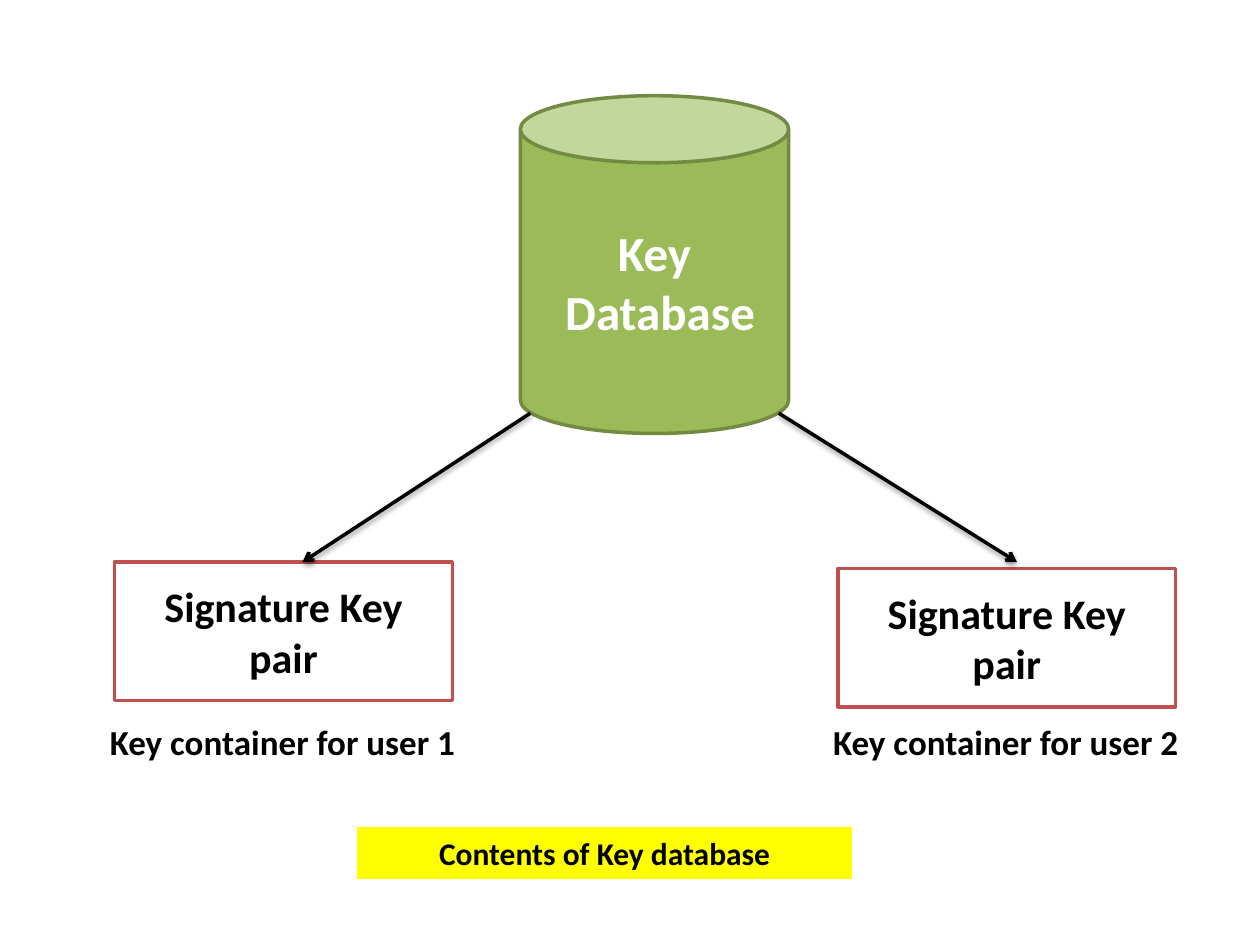
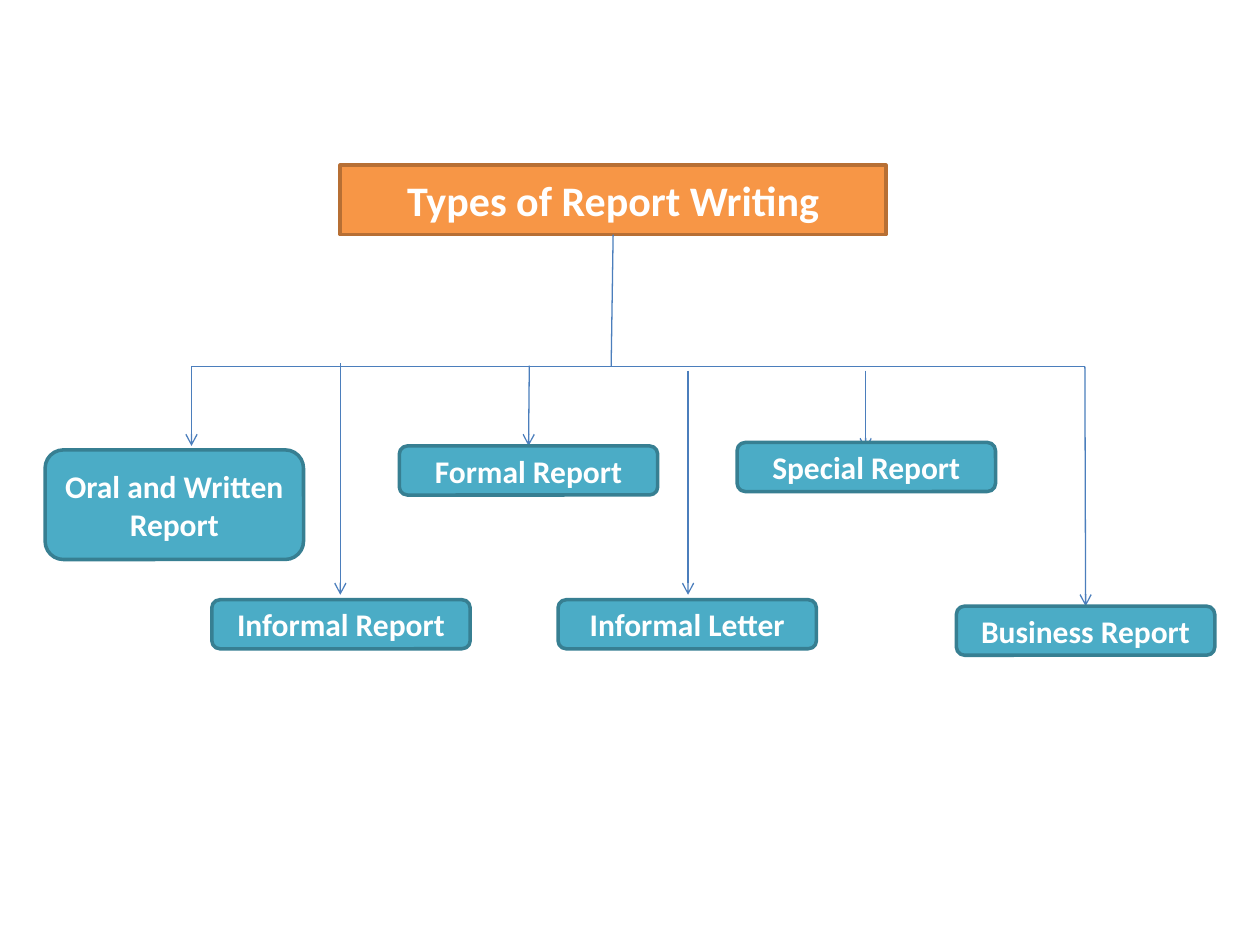
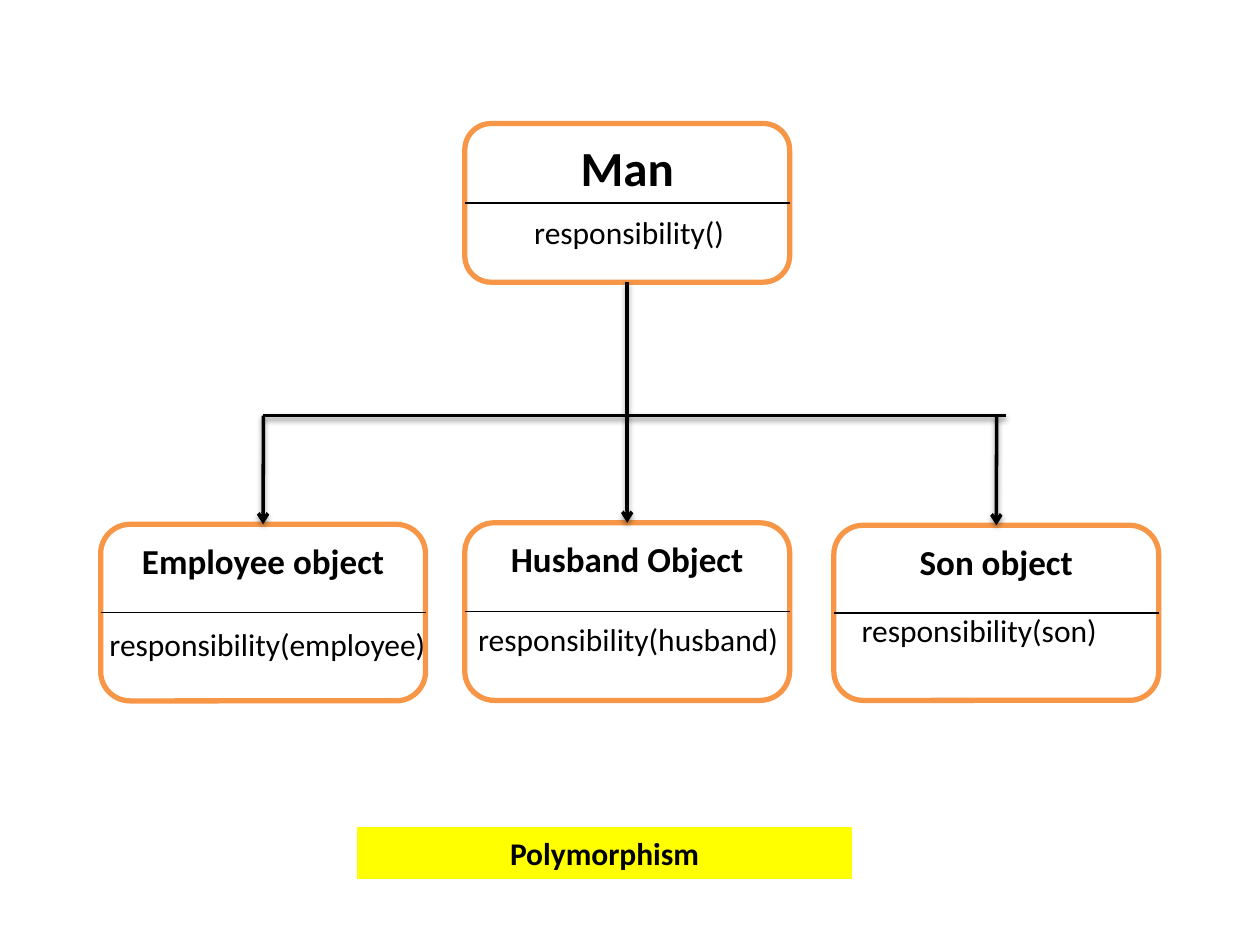
from lxml.etree import SubElement
from pptx import Presentation
from pptx.dml.color import RGBColor
from pptx.enum.shapes import MSO_CONNECTOR, MSO_SHAPE
from pptx.enum.text import MSO_ANCHOR, PP_ALIGN
from pptx.oxml.ns import qn
from pptx.util import Cm, Pt

# Shared colours
BLACK, WHITE, YELLOW = "000000", "FFFFFF", "FFFF00"
GREEN, DARK_GREEN, RED = "9BBB59", "738A42", "C0504D"
ORANGE, DARK_ORANGE = "F79646", "B76F34"
TEAL, DARK_TEAL, BLUE = "4BACC6", "377F92", "4B7EBC"

# Connection sites
TOP, BOTTOM = 0, 2


def color(value):
    return RGBColor.from_string(value)


def font_format(size, bold=True):
    return {"name": "Calibri", "size": Pt(size), "bold": bold}


def write_text(shape, text, size, text_color=BLACK, bold=True,
               anchor=MSO_ANCHOR.TOP, align=PP_ALIGN.CENTER):
    """Write one paragraph per line of text."""
    frame = shape.text_frame
    frame.text = text
    for name, value in {"word_wrap": True, "vertical_anchor": anchor}.items():
        setattr(frame, name, value)
    for paragraph in frame.paragraphs:
        paragraph.alignment = align
        for run in paragraph.runs:
            for name, value in font_format(size, bold).items():
                setattr(run.font, name, value)
            run.font.color.rgb = color(text_color)


def add_box(slide, kind, place, text, size, fill, line, line_width=2,
            text_color=BLACK, anchor=MSO_ANCHOR.MIDDLE):
    shape = slide.shapes.add_shape(kind, *map(Cm, place))
    shape.shadow.inherit = False
    shape.fill.solid()
    shape.fill.fore_color.rgb = color(fill)
    shape.line.color.rgb = color(line)
    shape.line.width = Pt(line_width)
    write_text(shape, text, size, text_color, anchor=anchor)
    return shape


def add_label(slide, place, text, size, bold=True, align=PP_ALIGN.CENTER):
    label = slide.shapes.add_textbox(*map(Cm, place))
    write_text(label, text, size, bold=bold, align=align)


def add_line(slide, start, end, line_color=BLACK, width=0.75,
             arrow=False, shadow=False):
    line = slide.shapes.add_connector(
        MSO_CONNECTOR.STRAIGHT, *map(Cm, (*start, *end)))
    line.line.color.rgb = color(line_color)
    line.line.width = Pt(width)
    properties = line._element.spPr
    if arrow:
        SubElement(properties.find(qn("a:ln")), qn("a:tailEnd"), type="arrow")
    effects = SubElement(properties, qn("a:effectLst"))
    if shadow:
        outer = SubElement(effects, qn("a:outerShdw"), blurRad="40000",
                           dist="20000", dir="5400000", rotWithShape="0")
        tint = SubElement(outer, qn("a:srgbClr"), val=BLACK)
        SubElement(tint, qn("a:alpha"), val="38000")
    return line


def add_heavy_line(slide, start, end, arrow=True):
    return add_line(slide, start, end, width=2, arrow=arrow, shadow=True)


def add_caption(slide, text):
    """Yellow band that names the diagram."""
    add_box(slide, MSO_SHAPE.RECTANGLE, (7.21, 16.69, 9.96, 1.02), text, 18,
            YELLOW, YELLOW, 0.75, anchor=MSO_ANCHOR.TOP)


def build_key_database(slide):
    add_box(slide, MSO_SHAPE.CAN, (10.49, 1.93, 5.41, 6.81),
            "Key\n Database", 28, GREEN, DARK_GREEN, text_color=WHITE)
    # User, key pair corner, label left, arrow start and end
    containers = [
        (1, (2.31, 11.33), 1.9, (10.69, 8.33), (6.1, 11.33)),
        (2, (16.89, 11.46), 16.48, (15.7, 8.33), (20.5, 11.33)),
    ]
    for user, corner, label_left, start, end in containers:
        add_box(slide, MSO_SHAPE.RECTANGLE, (*corner, 6.81, 2.79),
                "Signature Key pair", 24, WHITE, RED)
        add_label(slide, (label_left, 14.4, 7.59, 1.12),
                  f"Key container for user {user}", 20)
        add_heavy_line(slide, start, end)
    add_caption(slide, "Contents of Key database")


def build_report_types(slide):
    heading = add_box(slide, MSO_SHAPE.RECTANGLE, (6.86, 3.33, 11, 1.4),
                      "Types of Report Writing", 24, ORANGE, DARK_ORANGE,
                      text_color=WHITE)
    bar_top = 7.39
    stem = add_line(slide, (12.36, 4.73), (12.32, bar_top), BLUE)
    stem.begin_connect(heading, BOTTOM)
    add_line(slide, (3.86, bar_top), (21.87, bar_top), BLUE)

    # Name, left, top, height, arrow x, arrow start, arrow end (None: joined)
    reports = [
        ("Oral and Written Report", 0.91, 9.07, 2.21, 3.86, bar_top, 8.99),
        ("Special Report", 14.86, 8.92, 0.99, 17.45, 7.47, 9.07),
        ("Formal Report", 8.05, 8.99, 0.99, 10.67, 7.37, None),
        ("Business Report", 19.28, 12.22, 0.99, 21.87, bar_top, None),
        ("Informal Report", 4.27, 12.09, 0.99, 6.86, 7.32, 11.99),
        ("Informal Letter", 11.25, 12.09, 0.99, 13.87, 7.47, 11.99),
    ]
    for name, left, top, height, arrow_x, start, end in reports:
        arrow = add_line(slide, (arrow_x, start), (arrow_x, end or top), BLUE,
                         arrow=True)
        box = add_box(slide, MSO_SHAPE.ROUNDED_RECTANGLE,
                      (left, top, 5.21, height), name, 18, TEAL, DARK_TEAL,
                      text_color=WHITE)
        if end is None:
            arrow.end_connect(box, TOP)


def add_class_box(slide, name, size, left, top, height, method, method_place,
                  align=PP_ALIGN.CENTER):
    """Class name above a divider, with its method below."""
    width = 6.55
    box = add_box(slide, MSO_SHAPE.ROUNDED_RECTANGLE,
                  (left, top, width, height), name, size, WHITE, ORANGE, 3,
                  anchor=MSO_ANCHOR.TOP)
    middle = top + height / 2
    add_line(slide, (left, middle), (left + width, middle))
    add_label(slide, (*method_place, 1.02), method, 18, bold=False, align=align)
    return box


def build_polymorphism(slide):
    man = add_class_box(slide, "Man", 28, 9.37, 2.49, 3.2, "responsibility()",
                        (10.52, 4.17, 4.5), PP_ALIGN.LEFT)
    employee = add_class_box(slide, "Employee object", 20, 2.03, 10.57, 3.56,
                             "responsibility(employee)", (1.42, 12.47, 7.95))
    husband = add_class_box(slide, "Husband Object", 20, 9.37, 10.54, 3.58,
                            "responsibility(husband)", (8.79, 12.37, 7.75))
    son = add_class_box(slide, "Son object", 20, 16.81, 10.59, 3.53,
                        "responsibility(son)", (17.12, 12.19, 6.27),
                        PP_ALIGN.LEFT)

    # Branches from the parent class to its objects
    bar_top = 8.38
    add_heavy_line(slide, (5.31, bar_top), (20.27, bar_top), arrow=False)
    trunk = add_heavy_line(slide, (12.65, 5.69), (12.65, 10.54))
    trunk.begin_connect(man, BOTTOM)
    trunk.end_connect(husband, TOP)
    for box, center in ((employee, 5.31), (son, 20.09)):
        branch = add_heavy_line(slide, (center, bar_top), (center, 10.57))
        branch.end_connect(box, TOP)
    add_caption(slide, "Polymorphism")


def main():
    presentation = Presentation()
    presentation.slide_width = Cm(25.4)
    presentation.slide_height = Cm(19.05)
    blank_layout = presentation.slide_layouts[6]
    for build in (build_key_database, build_report_types, build_polymorphism):
        build(presentation.slides.add_slide(blank_layout))
    presentation.save("out.pptx")


if __name__ == "__main__":
    main()
